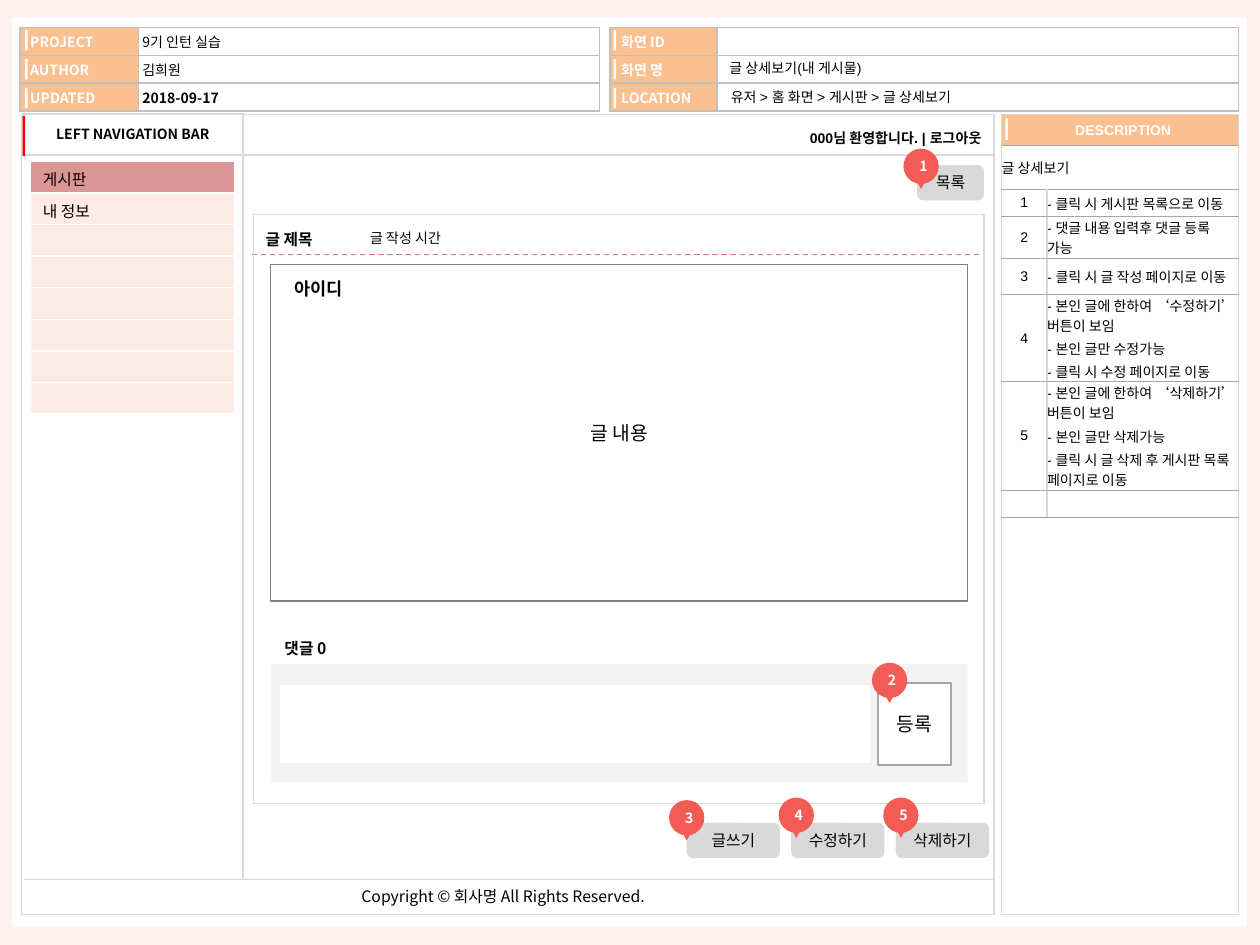
from dataclasses import dataclass
from lxml import etree
from pptx import Presentation, util as u
from pptx.dml.color import RGBColor
from pptx.enum import dml, shapes, text as tx
from pptx.oxml import ns


@dataclass(frozen=True)
class Theme:
    page: str = "FFF1EF"
    white: str = "FFFFFF"
    ink: str = "000000"
    label: str = "FAC090"
    header_line: str = "C0C0C0"
    frame: str = "D9D9D9"
    rule: str = "A6A6A6"
    outline: str = "808080"
    panel: str = "F2F2F2"
    nav: str = "FFEBE5"
    nav_active: str = "D99694"
    accent: str = "FF0000"
    dash: str = "D67484"
    marker: str = "F25C54"
    arial: str = "Arial"
    noto: str = "Noto Sans CJK KR"
    small: int = 8
    body: int = 9
    name: int = 10
    large: int = 11


T = Theme()
RECT, ROUND = shapes.MSO_SHAPE.RECTANGLE, shapes.MSO_SHAPE.ROUNDED_RECTANGLE
OVAL, TRIANGLE = shapes.MSO_SHAPE.OVAL, shapes.MSO_SHAPE.ISOSCELES_TRIANGLE
LEFT, CENTER, RIGHT = tx.PP_ALIGN.LEFT, tx.PP_ALIGN.CENTER, tx.PP_ALIGN.RIGHT
TOP, MIDDLE = tx.MSO_ANCHOR.TOP, tx.MSO_ANCHOR.MIDDLE
INSET, TIGHT = (10, 5, 10, 5), (8, 4, 8, 4)

prs = Presentation()
prs.slide_width, prs.slide_height = u.Inches(10), u.Inches(7.5)
COL, ROW = prs.slide_width // 1000, prs.slide_height // 750
s = prs.slides.add_slide(prs.slide_layouts[6])


def rgb(color):
    return RGBColor.from_string(color)


def place(box, x, y, w, h):
    return (box[0] + x) * COL, (box[1] + y) * ROW, w * COL, h * ROW


def write(tf, text, size=T.small, font=T.noto, color=T.ink, bold=False, align=LEFT, before=0):
    for i, line in enumerate(text.split("\n")):
        p = tf.add_paragraph() if i else tf.paragraphs[0]
        p.alignment = align
        p.space_before = u.Pt(before)
        if not line:
            etree.SubElement(p._p, ns.qn("a:endParaRPr"), sz=str(size * 100))
            continue
        r = p.add_run()
        r.text = line
        r.font.size, r.font.name, r.font.bold = u.Pt(size), font, bold
        r.font.color.rgb = rgb(color)
        etree.SubElement(r._r.get_or_add_rPr(), ns.qn("a:ea"), typeface=T.noto)


def set_insets(holder, insets):
    left, top, right, bottom = insets
    holder.margin_left, holder.margin_right = left * COL, right * COL
    holder.margin_top, holder.margin_bottom = top * ROW, bottom * ROW


def shape(box, x, y, w, h, kind=RECT, fill=None, line=None, width=0.75, text="",
          insets=INSET, wrap=True, parent=None, **fmt):
    sp = (parent or s).shapes.add_shape(kind, *place(box, x, y, w, h))
    sp.shadow.inherit = False
    if fill:
        sp.fill.solid()
        sp.fill.fore_color.rgb = rgb(fill)
    else:
        sp.fill.background()
    if line:
        sp.line.color.rgb, sp.line.width = rgb(line), u.Pt(width)
    else:
        sp.line.fill.background()
    if text:
        tf = sp.text_frame
        tf.word_wrap, tf.vertical_anchor = wrap, MIDDLE
        set_insets(tf, insets)
        write(tf, text, align=CENTER, **fmt)
    return sp


def label(box, x, y, w, h, text, insets=INSET, wrap=False, **fmt):
    tf = s.shapes.add_textbox(*place(box, x, y, w, h)).text_frame
    tf.word_wrap = wrap
    set_insets(tf, insets)
    write(tf, text, **fmt)


def rule(box, x1, y1, x2, y2, color=T.frame, width=1, dashed=False):
    x, y, w, h = place(box, x1, y1, x2 - x1, y2 - y1)
    ln = s.shapes.add_connector(shapes.MSO_CONNECTOR.STRAIGHT, x, y, x + w, y + h)
    ln.line.color.rgb, ln.line.width = rgb(color), u.Pt(width)
    if dashed:
        ln.line.dash_style = dml.MSO_LINE.DASH
    etree.SubElement(ln._element.spPr, ns.qn("a:effectLst"))


def grid(box, x, y, cols, rows):
    frame = s.shapes.add_table(len(rows), len(cols), *place(box, x, y, sum(cols), sum(rows)))
    t = frame.table
    for column, w in zip(t.columns, cols):
        column.width = w * COL
    for row, h in zip(t.rows, rows):
        row.height = h * ROW
    return t


def cell(c, text="", fill=T.white, sides=T.frame, ends=T.frame, end_width=1,
         insets=(0, 0, 0, 0), anchor=MIDDLE, **fmt):
    set_insets(c, insets)
    c.vertical_anchor = anchor
    write(c.text_frame, text, **fmt)
    pr = c._tc.get_or_add_tcPr()
    for tag, color, width in (("lnL", sides, 1), ("lnR", sides, 1),
                              ("lnT", ends, end_width), ("lnB", ends, end_width)):
        ln = etree.SubElement(pr, ns.qn("a:" + tag), w=str(u.Pt(width)))
        etree.SubElement(etree.SubElement(ln, ns.qn("a:solidFill")), ns.qn("a:srgbClr"), val=color)
    c.fill.solid()
    c.fill.fore_color.rgb = rgb(fill)


def header(box, cols, rows, bar, indent):
    t = grid(box, 0, 0, cols, [22] * len(rows))
    lines = dict(sides=T.header_line, ends=T.header_line, before=1.6)
    for i, (name, value) in enumerate(rows):
        cell(t.cell(i, 0), name, fill=T.label, color=T.white, bold=True,
             insets=(indent, 0, 3, 0), **lines)
        cell(t.cell(i, 1), value, bold=name == "UPDATED", insets=(3, 0, 3, 0), **lines)
        shape(box, bar, 2 + 23 * i, 2, 16, fill=T.white)


def location(box):
    label(box, 88, 44, 290, 20, "유저 > 홈 화면 > 게시판 > 글 상세보기", TIGHT, True, font=T.arial)
    label(box, 87, 21, 290, 20, "글 상세보기(내 게시물)", TIGHT, True, font=T.arial)


def description(box, notes):
    x, y, w, h = box
    t = grid(box, 0, 0, [w], [25, h - 25])
    cell(t.cell(0, 0), "DESCRIPTION", fill=T.label, font=T.arial, color=T.white, bold=True,
         align=CENTER, insets=(5, 0, 0, 0), before=1.6)
    cell(t.cell(1, 0))
    shape(box, 3, 3, 2, 17, fill=T.white)
    t = grid(box, 0, 24, [36, w - 36], [35] + [height for height, _ in notes])
    lines = dict(ends=T.rule, end_width=0.5, font=T.arial, before=1.6)
    t.cell(0, 0).merge(t.cell(0, 1))
    cell(t.cell(0, 0), "글 상세보기", **lines)
    for i, (_, note) in enumerate(notes, 1):
        cell(t.cell(i, 0), str(i) if note else "", align=CENTER, **lines)
        cell(t.cell(i, 1), note, **lines)


def frame(box):
    x, y, w, h = box
    shape(box, 0, 0, w, h, line=T.frame)
    rule(box, 2, 607, w, 607)
    label(box, 260, 608, 252, 25, "Copyright ©\u00a0회사명 All Rights Reserved.", size=T.body)
    rule(box, 176, 0, 176, 607)
    rule(box, 176, 32, w, 32)
    label(box, 512, 8, 258, 22, "000님 환영합니다. | 로그아웃", TIGHT, True,
          font=T.arial, bold=True, align=RIGHT)


def navigation(box, items, count):
    shape(box, 0, 0, 175, 33, line=T.frame, text="LEFT NAVIGATION BAR", bold=True)
    shape(box, 0, 2, 2, 32, fill=T.accent)
    t = grid(box, 6, 38, [162], [25] * count)
    for i in range(count):
        cell(t.cell(i, 0), items[i] if i < len(items) else "", fill=T.nav if i else T.nav_active,
             sides=T.white, ends=T.white, insets=INSET, anchor=TOP, size=T.body)


def post(box):
    x, y, w, h = box
    label(box, 23, 46, 62, 27, "아이디", size=T.name, bold=True)
    shape(box, 14, 40, 553, 267, line=T.outline, text="글 내용", size=T.large)
    shape(box, 14, 357, 553, 94, fill=T.panel)
    shape(box, 23, 375, 465, 59, fill=T.white, line=T.white, width=2)
    shape(box, 496, 372, 58, 65, fill=T.white, line=T.rule, width=1, text="등록", size=T.large)
    label(box, 15, 332, 57, 25, "댓글 0", size=T.body, bold=True)
    label(box, 83, 7, 84, 24, "글 작성 시간")
    label(box, 0, 7, 62, 25, "글 제목", size=T.body, bold=True)
    rule(box, -1, 32, w + 1, 32, T.dash, 0.75, True)
    shape(box, 0, 0, w, h, line=T.frame)


def button(box, text):
    shape(box, 0, 0, *box[2:], kind=ROUND, fill=T.frame, text=text, size=T.body, insets=(0, 5, 0, 5))


def marker(box, number):
    g = s.shapes.add_group_shape()
    shape(box, 0, 0, 28, 28, OVAL, T.marker, text=str(number), insets=(4, 0, 0, 0),
          wrap=False, parent=g, color=T.white, bold=True)
    shape(box, 9.5, 24, 9, 8, TRIANGLE, T.marker, parent=g).rotation = 180


def owner_note(action, result):
    return f"- 본인 글에 한하여 ‘{action}하기’ 버튼이 보임\n- 본인 글만 {action}가능\n- 클릭 시 {result} 이동"


s.background.fill.solid()
s.background.fill.fore_color.rgb = rgb(T.page)
shape((10, 14), 0, 0, 979, 721, fill=T.white)
header((16, 22), [94, 366], [("PROJECT", "9기 인턴 실습"), ("AUTHOR", "김희원"),
                             ("UPDATED", "2018-09-17")], 4, 8)
header((484, 22), [85, 414], [("화면 ID", ""), ("화면 명", ""), ("LOCATION", "")], 3, 9)
location((484, 22))
frame((17, 91, 772, 635))
description((795, 91, 188, 635), [
    (22, "- 클릭 시 게시판 목록으로 이동"),
    (33, "- 댓글 내용 입력후 댓글 등록 가능"),
    (29, "- 클릭 시 글 작성 페이지로 이동"),
    (69, owner_note("수정", "수정 페이지로")),
    (86, owner_note("삭제", "글 삭제 후 게시판 목록 페이지로")),
    (22, "")])
navigation((18, 90), ["게시판", "내 정보"], 8)
post((201, 170, 580, 468))
button((728, 131, 53, 28), "목록")
for i, name in enumerate(["글쓰기", "수정하기", "삭제하기"]):
    button((545 + 83 * i, 653, 74, 28), name)
for i, spot in enumerate([(717, 118), (692, 526), (531, 635), (618, 633), (701, 633)], 1):
    marker(spot, i)
prs.save("out.pptx")
